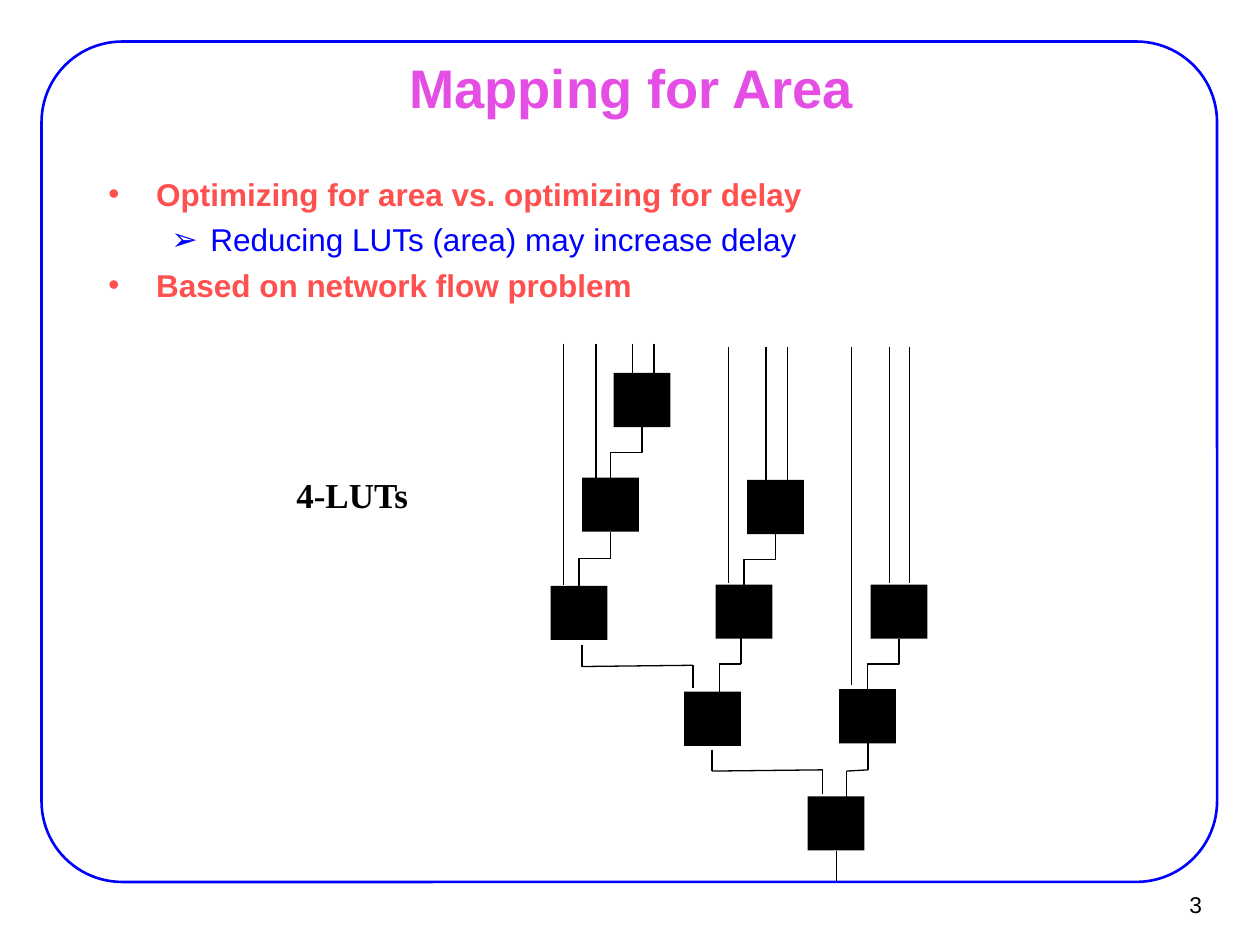
from dataclasses import dataclass

from lxml.etree import SubElement
from pptx import Presentation
from pptx.dml.color import RGBColor as Rgb
from pptx.enum.shapes import MSO_CONNECTOR as Wire, MSO_SHAPE as Preset
from pptx.enum.text import MSO_ANCHOR as Anchor, PP_ALIGN as Align
from pptx.oxml.ns import qn
from pptx.util import Pt

SCALE = 9144


@dataclass(frozen=True)
class Theme:
    """Colours, fonts and point sizes of the page."""
    frame: Rgb = Rgb(0x00, 0x00, 0xFF)
    title: Rgb = Rgb(0xE4, 0x4E, 0xE4)
    point: Rgb = Rgb(0xFF, 0x50, 0x50)
    detail: Rgb = Rgb(0x00, 0x00, 0xFF)
    ink: Rgb = Rgb(0x00, 0x00, 0x00)
    sans: str = "Arial"
    serif: str = "Times New Roman"
    title_size: int = 31
    body_size: int = 18
    label_size: int = 20
    number_size: int = 13
    frame_line: float = 1.5
    wire_line: float = 0.75


THEME = Theme()
POINTS = [
    (0, "Optimizing for area vs. optimizing for delay"),
    (1, "Reducing LUTs (area) may increase delay"),
    (0, "Based on network flow problem"),
]
LEVELS = [
    {"bullet": "•", "margin": 38, "hang": 38, "color": THEME.point, "bold": True},
    {"bullet": "➢", "margin": 81, "hang": 31, "color": THEME.detail, "bold": False},
]
LUT_SIZE = (45, 43)
LUTS = [(50, 23), (25, 106), (0, 192), (156, 108), (131, 191),
        (254, 191), (106, 276), (229, 274), (204, 359)]
INPUTS = [(10, 0, 191), (36, 0, 106), (65, 0, 23), (82, 0, 23),
          (141, 2, 190), (171, 2, 108), (188, 2, 108),
          (239, 2, 271), (269, 2, 190), (285, 2, 190)]
CASCADES = [(0, 1), (1, 2), (3, 4), (5, 7)]
JOINS = [
    [(25, 239), (25, 256), (113, 255), (113, 273)],
    [(151, 232), (151, 254), (134, 254), (134, 278)],
    [(128, 322), (128, 339), (216, 338), (216, 357)],
    [(252, 317), (252, 338), (235, 339), (235, 363)],
]
OUTPUT = [(227, 402), (227, 426)]


def px(*lengths):
    """Turn lengths in px into EMU."""
    return [round(length * SCALE) for length in lengths]


def place(shape, box):
    """Move and size a shape to a box."""
    shape.left, shape.top, shape.width, shape.height = px(*box)


def style(para, size, color, font, bold=False):
    """Format every run of a paragraph."""
    for span in para.runs:
        span.font.size = Pt(size)
        span.font.name = font
        span.font.bold = bold
        span.font.color.rgb = color


def set_frame(frame, margins, anchor, wrap):
    """Set the insets, anchor and wrapping of a text frame."""
    side, end = px(*margins)
    frame.margin_left = frame.margin_right = side
    frame.margin_top = frame.margin_bottom = end
    frame.vertical_anchor = anchor
    frame.word_wrap = wrap


def add_border(page, box):
    """Draw the rounded border of the page."""
    border = page.shapes.add_shape(Preset.ROUNDED_RECTANGLE, *px(*box))
    border.adjustments[0] = 0.096
    border.shadow.inherit = False
    border.fill.background()
    border.line.color.rgb = THEME.frame
    border.line.width = Pt(THEME.frame_line)


def add_title(page, box, text):
    """Fill and place the title placeholder."""
    title = page.shapes.title
    place(title, box)
    title.text_frame.text = text
    set_frame(title.text_frame, (11, 6), Anchor.MIDDLE, True)
    para = title.text_frame.paragraphs[0]
    para.alignment = Align.CENTER
    style(para, THEME.title_size, THEME.title, THEME.sans, True)


def add_points(page, box):
    """Write the bulleted points in a box."""
    frame = page.shapes.add_textbox(*px(*box)).text_frame
    set_frame(frame, (11, 6), Anchor.TOP, True)
    frame.text = "\n".join(text for _, text in POINTS)
    for para, (depth, _) in zip(frame.paragraphs, POINTS):
        level = LEVELS[depth]
        para.level = depth
        para.space_before = Pt(4.3)
        style(para, THEME.body_size, level["color"], THEME.sans, level["bold"])
        margin, hang = px(level["margin"], level["hang"])
        props = para._p.get_or_add_pPr()
        props.set("marL", str(margin))
        props.set("indent", str(-hang))
        SubElement(props, qn("a:buFont"), typeface=THEME.sans)
        SubElement(props, qn("a:buChar"), char=level["bullet"])


def add_label(page, box, text, align, size, font, bold=False):
    """Write one unwrapped line in a box."""
    frame = page.shapes.add_textbox(*px(*box)).text_frame
    set_frame(frame, (9, 4), Anchor.MIDDLE, False)
    frame.text = text
    para = frame.paragraphs[0]
    para.alignment = align
    style(para, size, THEME.ink, font, bold)


def add_wire(page, kind, start, end):
    """Draw one thin wire without a shadow."""
    wire = page.shapes.add_connector(kind, *px(*start, *end))
    wire.line.color.rgb = THEME.ink
    wire.line.width = Pt(THEME.wire_line)
    SubElement(wire.element.spPr, qn("a:effectLst"))
    return wire


def add_cascade(page, start, end):
    """Join two points by an elbow that leaves downwards and steps left."""
    (x1, y1), (x2, y2) = start, end
    mid_x, mid_y = (x1 + x2) / 2, (y1 + y2) / 2
    half_drop, half_step = (y2 - y1) / 2, (x1 - x2) / 2
    wire = add_wire(page, Wire.ELBOW, (mid_x - half_drop, mid_y - half_step),
                    (mid_x + half_drop, mid_y + half_step))
    wire.element.spPr.xfrm.set("rot", "5400000")


def add_network(page, box):
    """Draw the LUT network from the top left corner of a box."""
    left, top = box[:2]
    width, height = LUT_SIZE

    def at(x, y):
        return left + x, top + y

    for x, y in LUTS:
        lut = page.shapes.add_shape(Preset.RECTANGLE, *px(*at(x, y), width, height))
        lut.shadow.inherit = False
        lut.fill.solid()
        lut.fill.fore_color.rgb = THEME.ink
        lut.line.fill.background()
    for source, target in CASCADES:
        (x1, y1), (x2, y2) = LUTS[source], LUTS[target]
        add_cascade(page, at(x1 + width / 2, y1 + height), at(x2 + width / 2, y2))
    for x, start, end in INPUTS:
        add_wire(page, Wire.STRAIGHT, at(x, start), at(x, end))
    for route in JOINS + [OUTPUT]:
        for start, end in zip(route, route[1:]):
            add_wire(page, Wire.STRAIGHT, at(*start), at(*end))


def main():
    """Build the page and save the deck."""
    deck = Presentation()
    deck.slide_width, deck.slide_height = px(1000, 750)
    page = deck.slides.add_slide(deck.slide_layouts[5])
    add_border(page, (33, 33, 933, 667))
    add_title(page, (76, 44, 850, 49), "Mapping for Area")
    add_points(page, (75, 133, 850, 198))
    add_network(page, (437, 273, 299, 426))
    add_label(page, (224, 371, 111, 43), "4-LUTs", Align.CENTER,
              THEME.label_size, THEME.serif, True)
    add_label(page, (902, 699, 61, 37), "3", Align.RIGHT,
              THEME.number_size, THEME.sans)
    deck.save("out.pptx")


if __name__ == "__main__":
    main()
